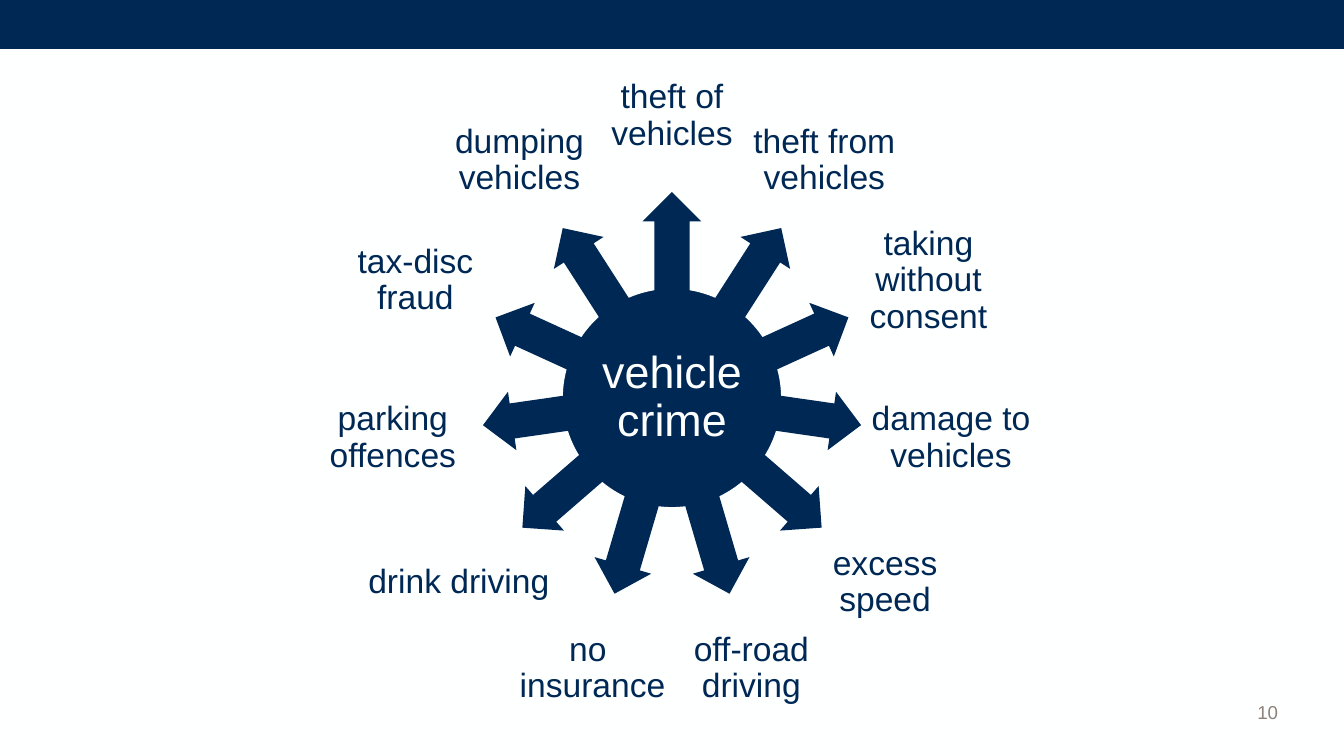
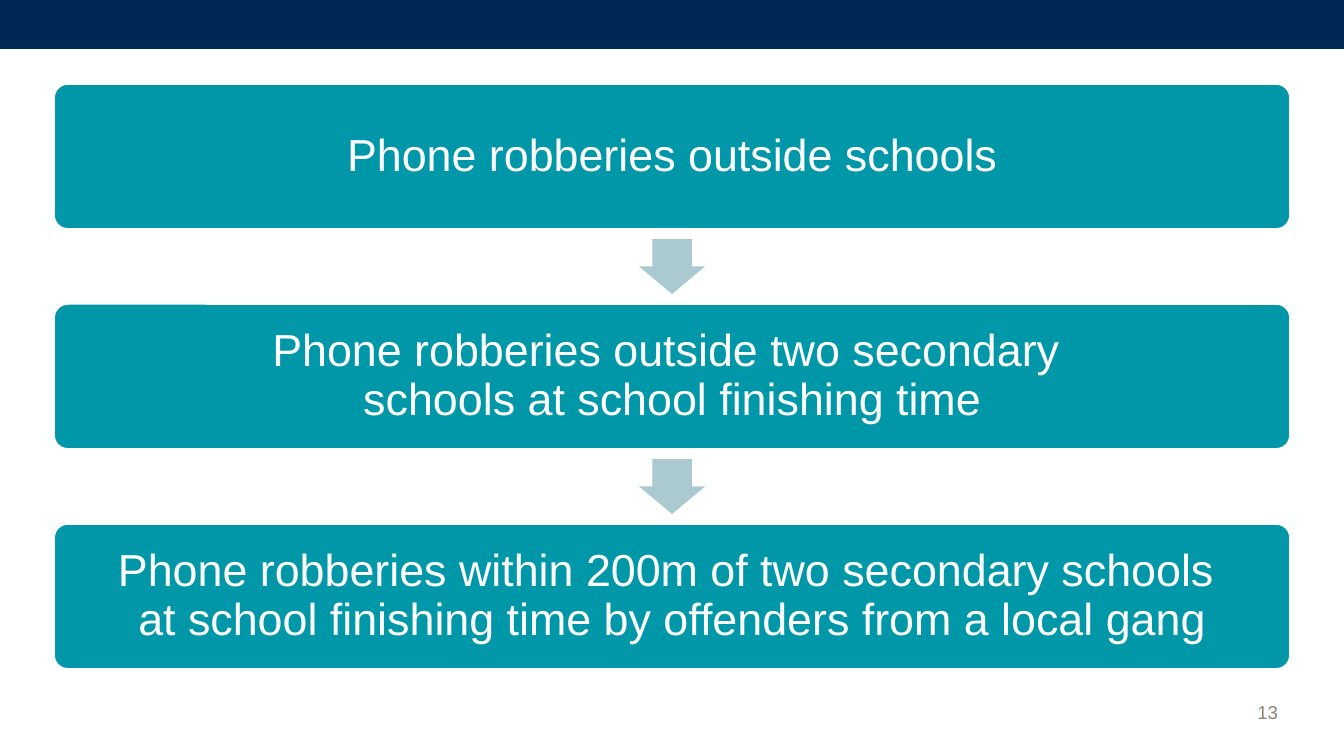
from math import cos, radians, sin

from pptx import Presentation
from pptx.dml.color import RGBColor
from pptx.enum.shapes import MSO_SHAPE
from pptx.enum.text import MSO_ANCHOR, PP_ALIGN
from pptx.util import Emu, Pt

PX_PER_INCH = 134.4
SLIDE_W, SLIDE_H = 1344, 756
FONT = "Arial"

WHITE = RGBColor(0xFE, 0xFF, 0xFF)
NAVY = RGBColor(0x00, 0x28, 0x55)
TEAL = RGBColor(0x00, 0x97, 0xA9)
PALE_TEAL = RGBColor(0xAB, 0xC9, 0xD1)
GREY = RGBColor(0x8C, 0x82, 0x79)

HUB_X, HUB_Y = 672, 398
HUB_SIZE = 222
SPOKE_START = 105
SPOKE_BREADTH = 59
OFFENCE_RADIUS = 282
OFFENCE_W, OFFENCE_H = 183, 157
OFFENCES = [
    ("theft of vehicles", 101),
    ("theft from vehicles", 97),
    ("taking without consent", 89),
    ("damage to vehicles", 86),
    ("excess speed", 93),
    ("off-road driving", 99),
    ("no \ninsurance", 99),
    ("drink driving", 93),
    ("parking offences", 86),
    ("tax-disc fraud", 89),
    ("dumping vehicles", 97),
]

STEP_LEFT, STEP_TOP = 53, 83
STEP_W, STEP_H, STEP_PITCH = 1238, 147, 220
STEPS = [
    "Phone robberies outside schools",
    "Phone robberies outside two secondary \nschools at school finishing time",
    "Phone robberies within 200m of two secondary schools \n"
    "at school finishing time by offenders from a local gang",
]


def px(length):
    """Convert pixels to EMU."""
    return Emu(round(length * 914400 / PX_PER_INCH))


def write(shape, text, size, color, inset=(0, 0), align=PP_ALIGN.CENTER,
          anchor=MSO_ANCHOR.MIDDLE, spacing=0.9):
    """Fill a shape with one paragraph, breaking lines at newlines."""
    frame = shape.text_frame
    frame.word_wrap = True
    frame.vertical_anchor = anchor
    frame.margin_left = frame.margin_right = px(inset[0])
    frame.margin_top = frame.margin_bottom = px(inset[1])
    paragraph = frame.paragraphs[0]
    paragraph.alignment = align
    paragraph.line_spacing = spacing
    for index, line in enumerate(text.split("\n")):
        if index:
            paragraph.add_line_break()
        run = paragraph.add_run()
        run.text = line
        run.font.name = FONT
        run.font.size = Pt(size)
        run.font.color.rgb = color


def add_block(slide, kind, left, top, width, height, fill, outlined=False):
    """Add a flat filled shape, with a white outline if asked."""
    block = slide.shapes.add_shape(kind, px(left), px(top), px(width), px(height))
    block.shadow.inherit = False
    block.fill.solid()
    block.fill.fore_color.rgb = fill
    if outlined:
        block.line.color.rgb = WHITE
        block.line.width = Pt(2)
    else:
        block.line.fill.background()
    return block


def add_arrow(slide, center_x, center_y, length, breadth, angle, fill):
    """Add a block arrow around a centre, turned clockwise from pointing right."""
    arrow = add_block(slide, MSO_SHAPE.RIGHT_ARROW, center_x - length / 2,
                      center_y - breadth / 2, length, breadth, fill)
    arrow.adjustments[0] = 0.6
    arrow.adjustments[1] = 0.5
    arrow.rotation = angle % 360


def add_label(slide, left, top, width, height, text, size, color, **layout):
    """Add a text box."""
    label = slide.shapes.add_textbox(px(left), px(top), px(width), px(height))
    write(label, text, size, color, **layout)


def add_page(deck, number):
    """Add a slide with its background, top band and page number."""
    slide = deck.slides.add_slide(deck.slide_layouts[6])
    slide.background.fill.solid()
    slide.background.fill.fore_color.rgb = WHITE
    add_block(slide, MSO_SHAPE.RECTANGLE, 0, 0, SLIDE_W, 49, NAVY)
    add_label(slide, 1185, 671, 106, 59, str(number), 10, GREY, inset=(13, 7),
              align=PP_ALIGN.RIGHT, anchor=MSO_ANCHOR.BOTTOM, spacing=1.0)
    return slide


def around_hub(radius, angle):
    """Return the point at a radius and clockwise angle from the hub."""
    return (HUB_X + radius * cos(radians(angle)),
            HUB_Y + radius * sin(radians(angle)))


def add_crime_wheel(slide):
    """Draw the hub with an arrow to each offence."""
    hub = add_block(slide, MSO_SHAPE.OVAL, HUB_X - HUB_SIZE / 2,
                    HUB_Y - HUB_SIZE / 2, HUB_SIZE, HUB_SIZE, NAVY, outlined=True)
    write(hub, "vehicle crime", 24, WHITE, inset=(4, 4))
    for index, (offence, spoke) in enumerate(OFFENCES):
        angle = index * 360 / len(OFFENCES) - 90
        spoke_x, spoke_y = around_hub(SPOKE_START + spoke / 2, angle)
        add_arrow(slide, spoke_x, spoke_y, spoke, SPOKE_BREADTH, angle, NAVY)
        offence_x, offence_y = around_hub(OFFENCE_RADIUS, angle)
        add_label(slide, offence_x - OFFENCE_W / 2, offence_y - OFFENCE_H / 2,
                  OFFENCE_W, OFFENCE_H, offence, 18, NAVY)


def add_narrowing_steps(slide):
    """Stack the problem statements with an arrow in each gap."""
    for index, statement in enumerate(STEPS):
        top = STEP_TOP + index * STEP_PITCH
        if index:
            gap_middle = top - (STEP_PITCH - STEP_H) / 2
            add_arrow(slide, SLIDE_W / 2, gap_middle, 55, 66, 90, PALE_TEAL)
        step = add_block(slide, MSO_SHAPE.ROUNDED_RECTANGLE, STEP_LEFT, top,
                         STEP_W, STEP_H, TEAL, outlined=True)
        step.adjustments[0] = 0.1
        write(step, statement, 24, WHITE, inset=(13, 13))


def main():
    """Build and save the deck."""
    deck = Presentation()
    deck.slide_width, deck.slide_height = px(SLIDE_W), px(SLIDE_H)
    add_crime_wheel(add_page(deck, 10))
    add_narrowing_steps(add_page(deck, 13))
    deck.save("out.pptx")


if __name__ == "__main__":
    main()
